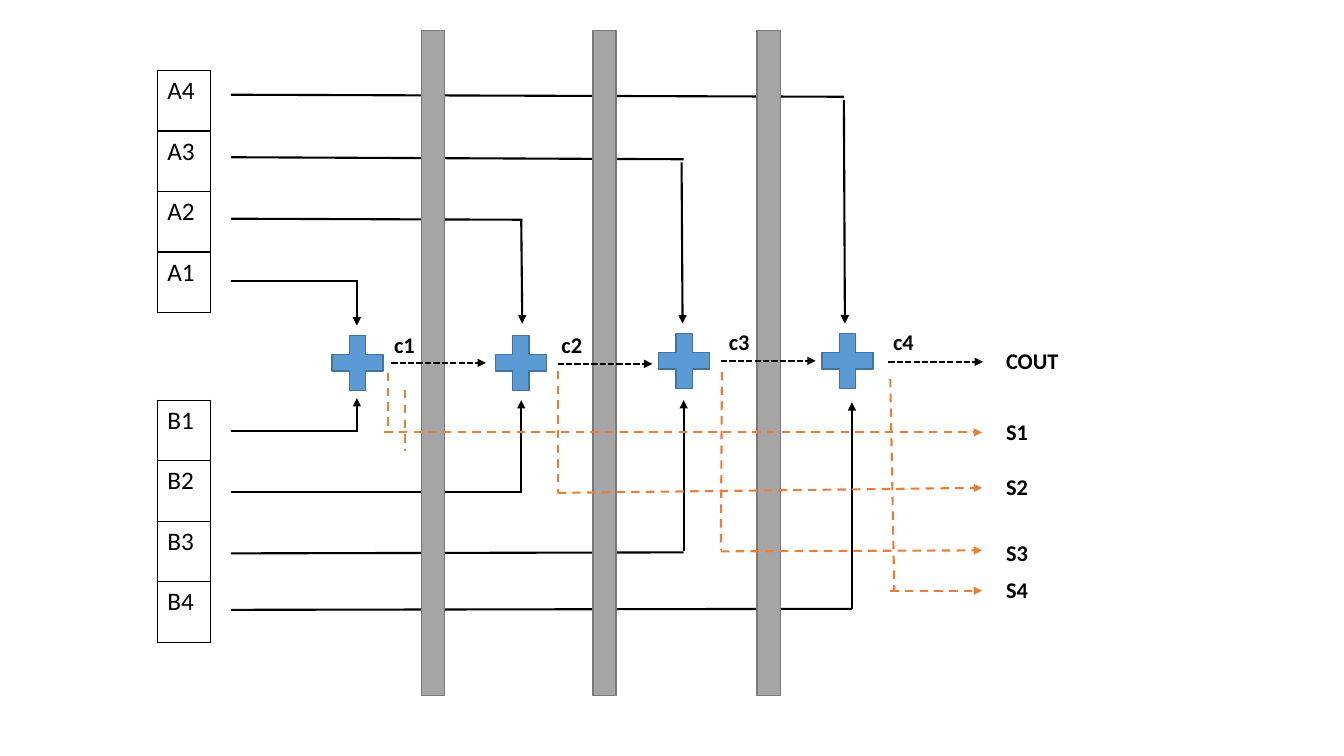
from pptx import Presentation
from pptx.dml.color import RGBColor
from pptx.enum.dml import MSO_LINE
from pptx.enum.shapes import MSO_CONNECTOR, MSO_SHAPE
from pptx.oxml.ns import qn
from pptx.util import Inches, Pt
from lxml import etree

PLUS, RECT = MSO_SHAPE.MATH_PLUS, MSO_SHAPE.RECTANGLE
STRAIGHT = MSO_CONNECTOR.STRAIGHT
DASH, DOTS = MSO_LINE.DASH, MSO_LINE.SQUARE_DOT

THEME = {
    "font": "Calibri", "cell": 18, "label": 16, "wire": 1.5, "edge": 1,
    "ink": "000000", "sum": "ED7D31", "paper": "FFFFFF",
    "plus": ("5B9BD5", "43739E"), "bar": ("A5A5A5", "7A7A7A"),
}

# Content: operand registers as (top, names)
REGS = [(0.7, ["A4", "A3", "A2", "A1"]), (3.97, ["B1", "B2", "B3", "B4"])]
REG_X, CELL_W, CELL_H = 1.56, 0.53, 0.6

# Adder stages, left to right; all but the top are shared by rule
STAGE_X, STAGE_W, PLUS_W, PLUS_H = 3.2, 1.62, 0.69, 0.74
PLUS_Y = [3.23, 3.23, 3.21, 3.21]

# Operand wires: (start y, corner x, corner y), then arrow (x, y, tip x, tip y)
WIRE_X = 2.29
WIRES = [
    ((2.79, 3.54, 2.79), (3.54, 2.78, 3.54, 3.23)),
    ((4.28, 3.54, 4.28), (3.54, 4.29, 3.54, 3.95)),
    ((2.17, 5.18, 2.18), (5.17, 2.18, 5.18, 3.21)),
    ((4.88, 5.18, 4.88), (5.17, 4.88, 5.17, 3.97)),
    ((1.56, 6.78, 1.58), (6.76, 1.61, 6.77, 3.21)),
    ((5.49, 6.78, 5.48), (6.78, 5.47, 6.78, 3.97)),
    ((0.94, 8.37, 0.96), (8.37, 0.99, 8.38, 3.21)),
    ((6.05, 8.45, 6.04), (8.45, 6.04, 8.45, 3.99)),
]

# Pipeline bars
BAR_X, BAR_Y, BAR_W, BAR_H = [4.18, 5.88, 7.51], 0.3, 0.23, 6.6

# Carries: (name, label x, label y, arrow x, arrow y)
CARRY_W = 0.94
CARRIES = [
    ("c1", 3.81, 3.24, 3.88, 3.6), ("c2", 5.47, 3.24, 5.53, 3.61),
    ("c3", 7.13, 3.21, 7.15, 3.58), ("c4", 8.76, 3.21, 8.81, 3.59),
]

# Sums: (name, label y, drop line, arrow start, arrow tip y)
OUT_X, TIP_X = 9.88, 9.74
SUMS = [
    ("S1", 4.1, (3.85, 3.7, 3.85, 4.3), (3.81, 4.29), 4.29),
    ("S2", 4.64, (5.53, 3.68, 5.53, 4.89), (5.53, 4.89), 4.84),
    ("S3", 5.3, (7.16, 3.69, 7.15, 5.46), (7.15, 5.47), 5.46),
    ("S4", 5.67, (8.83, 3.76, 8.87, 5.86), (8.83, 5.86), 5.86),
]
SPARE = (4.02, 3.87, 4.02, 4.47)
COUT_Y = 3.39
LABEL_H, CARRY_LABEL_W, OUT_LABEL_W = 0.37, 0.45, 0.91

deck = Presentation()
deck.slide_width, deck.slide_height = Inches(13.33), Inches(7.5)
slide = deck.slides.add_slide(deck.slide_layouts[6])
shapes = slide.shapes


def box(*lens):
    return [Inches(n) for n in lens]


def rgb(name):
    return RGBColor.from_string(name)


def style(par, size, bold=False):
    font = par.font
    font.name, font.size, font.bold = THEME["font"], Pt(size), bold
    font.color.rgb = rgb(THEME["ink"])


def block(kind, area, look):
    shape = shapes.add_shape(kind, *box(*area))
    shape.shadow.inherit = False
    fill, edge = THEME[look]
    shape.fill.solid()
    shape.fill.fore_color.rgb = rgb(fill)
    shape.line.color.rgb = rgb(edge)
    shape.line.width = Pt(THEME["edge"])


def wire(ends, tint="ink", dash=None, arrow=False):
    link = shapes.add_connector(STRAIGHT, *box(*ends))
    link.line.color.rgb = rgb(THEME[tint])
    link.line.width = Pt(THEME["wire"])
    if dash:
        link.line.dash_style = dash
    if arrow:
        etree.SubElement(link.line._get_or_add_ln(), qn("a:tailEnd"), type="triangle")
    etree.SubElement(link._element.spPr, qn("a:effectLst"))


def label(text, x, y, w):
    frame = shapes.add_textbox(*box(x, y, w, LABEL_H)).text_frame
    frame.word_wrap = True
    frame.text = text
    style(frame.paragraphs[0], THEME["label"], True)


def border(cell):
    props = cell._tc.get_or_add_tcPr()
    for i, side in enumerate("LRTB"):
        line = etree.Element(qn("a:ln" + side), w=str(Pt(THEME["edge"])))
        fill = etree.SubElement(line, qn("a:solidFill"))
        etree.SubElement(fill, qn("a:srgbClr"), val=THEME["ink"])
        props.insert(i, line)


# Registers
for top, names in REGS:
    area = box(REG_X, top, CELL_W, CELL_H * len(names))
    table = shapes.add_table(len(names), 1, *area).table
    table.first_row = table.horz_banding = False
    for row, name in enumerate(names):
        cell = table.cell(row, 0)
        cell.text = name
        style(cell.text_frame.paragraphs[0], THEME["cell"])
        cell.fill.solid()
        cell.fill.fore_color.rgb = rgb(THEME["paper"])
        border(cell)

# Adders
for i, y in enumerate(PLUS_Y):
    block(PLUS, (STAGE_X + i * STAGE_W, y, PLUS_W, PLUS_H), "plus")

# Operand wires, then the bars over them
for run, drop in WIRES:
    wire((WIRE_X, *run))
    wire(drop, arrow=True)
for x in BAR_X:
    block(RECT, (x, BAR_Y, BAR_W, BAR_H), "bar")

# Carries
for name, x, y, left, mid in CARRIES:
    wire((left, mid, left + CARRY_W, mid), dash=DOTS, arrow=True)
    label(name, x, y, CARRY_LABEL_W)
label("COUT", OUT_X, COUT_Y, OUT_LABEL_W)

# Sums
for name, y, drop, start, tip in SUMS:
    wire((*start, TIP_X, tip), "sum", DASH, True)
    wire(drop, "sum", DASH)
    label(name, OUT_X, y, OUT_LABEL_W)
wire(SPARE, "sum", DASH)

deck.save("out.pptx")
